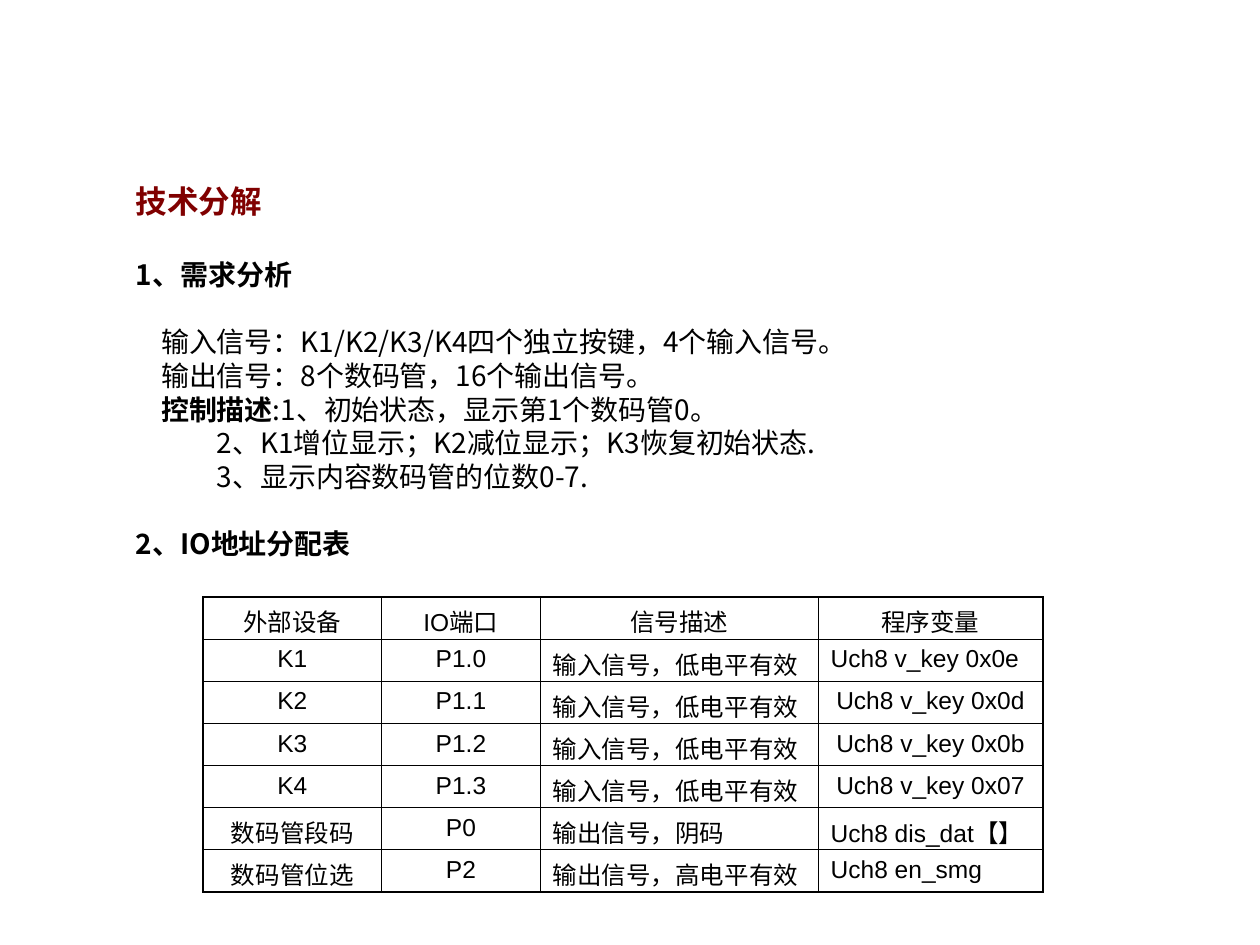
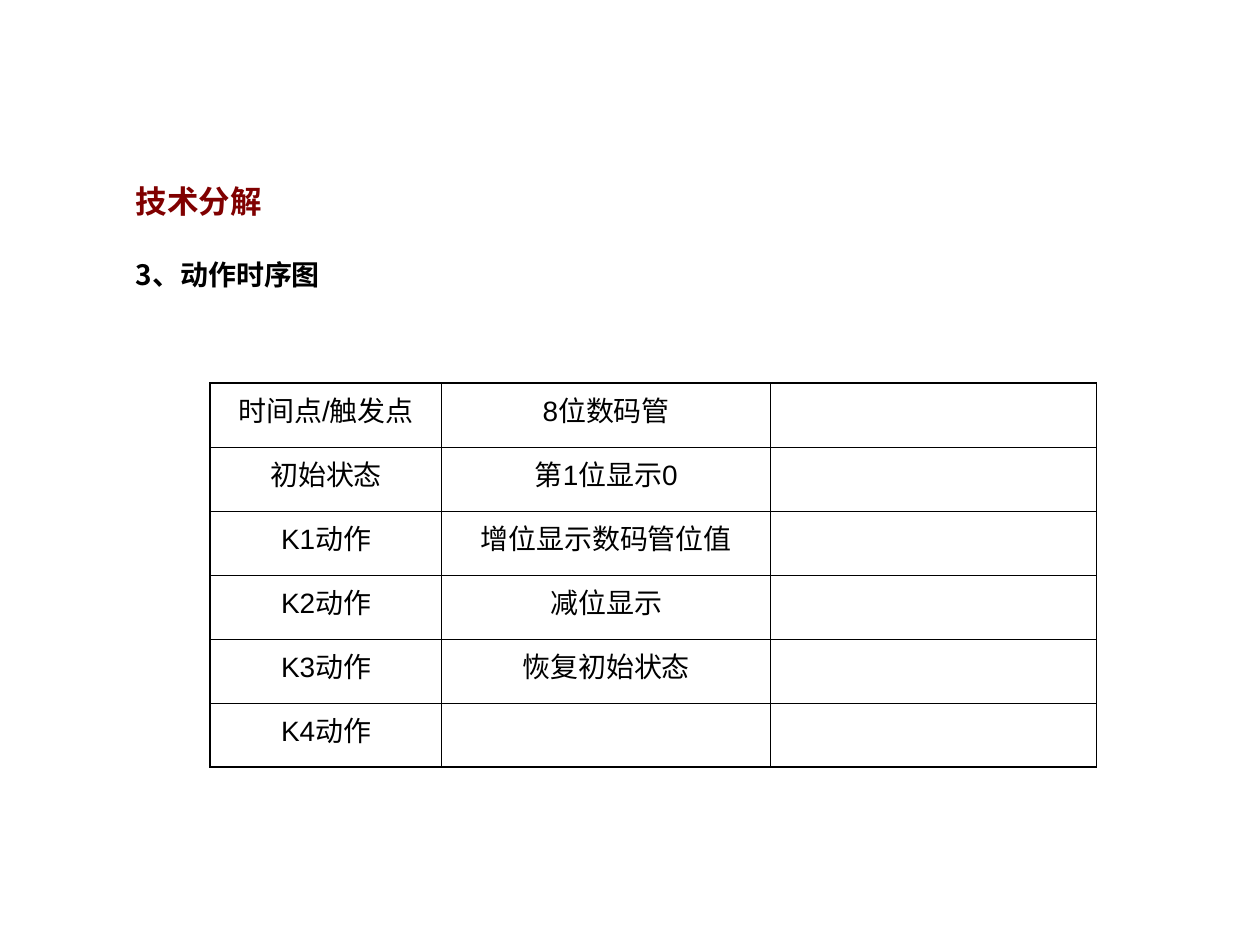
from lxml.etree import SubElement
from pptx import Presentation
from pptx.dml.color import RGBColor
from pptx.enum.text import PP_ALIGN
from pptx.oxml.ns import qn
from pptx.util import Pt

BLACK = RGBColor(0, 0, 0)
MAROON = RGBColor(0x80, 0, 0)
CJK_FONT = "Noto Sans CJK SC"
LATIN_FONT = "Arial"
TITLE_SIZE, BODY_SIZE, SMALL_SIZE = 18, 16, 14
LINE_FACTOR = 1.2
THIN, THICK = 0.45, 1.08
LEFT, CENTER = PP_ALIGN.LEFT, PP_ALIGN.CENTER

TITLE = {"size": TITLE_SIZE, "color": MAROON, "bold": True}
HEADING = {"size": BODY_SIZE, "color": BLACK, "bold": True}
BODY = {"size": BODY_SIZE, "color": BLACK, "bold": False}
FIRST_INDENT, SECOND_INDENT = 14.4, 46.3
TITLE_GAP = TITLE_SIZE * LINE_FACTOR
BODY_GAP = BODY_SIZE * LINE_FACTOR

TITLE_LINE = ([("技术分解", TITLE)], 0, 0)
ANALYSIS = [
    TITLE_LINE,
    ([("1、需求分析", HEADING)], 0, TITLE_GAP),
    ([("输入信号：K1/K2/K3/K4四个独立按键，4个输入信号。", BODY)], FIRST_INDENT, BODY_GAP),
    ([("输出信号：8个数码管，16个输出信号。", BODY)], FIRST_INDENT, 0),
    ([("控制描述", HEADING), (":1、初始状态，显示第1个数码管0。", BODY)], FIRST_INDENT, 0),
    ([("2、K1增位显示；K2减位显示；K3恢复初始状态.", BODY)], SECOND_INDENT, 0),
    ([("3、显示内容数码管的位数0-7.", BODY)], SECOND_INDENT, 0),
    ([("2、IO地址分配表", HEADING)], 0, BODY_GAP),
]
TIMING = [TITLE_LINE, ([("3、动作时序图", HEADING)], 0, TITLE_GAP)]

KEY_SIGNAL = "输入信号，低电平有效"
ADDRESS_ROWS = [
    ("外部设备", "IO端口", "信号描述", "程序变量"),
    ("K1", "P1.0", KEY_SIGNAL, "Uch8 v_key 0x0e"),
    ("K2", "P1.1", KEY_SIGNAL, "Uch8 v_key 0x0d"),
    ("K3", "P1.2", KEY_SIGNAL, "Uch8 v_key 0x0b"),
    ("K4", "P1.3", KEY_SIGNAL, "Uch8 v_key 0x07"),
    ("数码管段码", "P0", "输出信号，阴码", "Uch8 dis_dat【】"),
    ("数码管位选", "P2", "输出信号，高电平有效", "Uch8 en_smg"),
]
ACTION_ROWS = [
    ("时间点/触发点", "8位数码管", ""),
    ("初始状态", "第1位显示0", ""),
    ("K1动作", "增位显示数码管位值", ""),
    ("K2动作", "减位显示", ""),
    ("K3动作", "恢复初始状态", ""),
    ("K4动作", "", ""),
]


def add_span(para, text, name, size, color, bold=False):
    span = para.add_run()
    span.text = text
    for key, value in {"name": name, "size": Pt(size), "bold": bold}.items():
        setattr(span.font, key, value)
    span.font.color.rgb = color
    SubElement(span.font._element, qn("a:ea"), typeface=CJK_FONT)


def add_outline(page, box, lines):
    frame = page.shapes.add_textbox(*map(Pt, box)).text_frame
    frame.word_wrap = True
    for index, (spans, indent, gap) in enumerate(lines):
        para = frame.paragraphs[0] if index == 0 else frame.add_paragraph()
        para._p.get_or_add_pPr().set("marL", str(Pt(indent)))
        para.line_spacing = Pt(spans[0][1]["size"] * LINE_FACTOR)
        if gap:
            para.space_before = Pt(gap)
        for text, style in spans:
            add_span(para, text, CJK_FONT, **style)


def add_borders(cell, widths):
    properties = cell._tc.get_or_add_tcPr()
    for side, width in widths.items():
        line = SubElement(properties, qn(f"a:ln{side}"), w=str(Pt(width)))
        fill = SubElement(line, qn("a:solidFill"))
        SubElement(fill, qn("a:srgbClr"), val=str(BLACK))


def add_grid(page, box, rows, widths, size, alignment, bottom_margin):
    left, top, height = box
    last_row, last_column = len(rows) - 1, len(widths) - 1
    frame = page.shapes.add_table(
        len(rows), len(widths), Pt(left), Pt(top), Pt(sum(widths)), Pt(height))
    table = frame.table
    table.first_row = table.horz_banding = False
    for column, width in zip(table.columns, widths):
        column.width = Pt(width)
    for r, texts in enumerate(rows):
        table.rows[r].height = Pt(height / len(rows))
        for c, text in enumerate(texts):
            cell = table.cell(r, c)
            cell.margin_bottom = Pt(bottom_margin)
            add_borders(cell, {
                "L": THICK if c == 0 else THIN,
                "R": THICK if c == last_column else THIN,
                "T": THICK if r == 0 else THIN,
                "B": THICK if r == last_row else THIN,
            })
            cell.fill.background()
            para = cell.text_frame.paragraphs[0]
            para.alignment = alignment(r, c)
            if text:
                add_span(para, text, LATIN_FONT, size, BLACK)


def address_alignment(row, column):
    if row == 0 or column < 2 or (column == 3 and 2 <= row <= 4):
        return CENTER
    return LEFT


def action_alignment(row, column):
    return CENTER


def build_analysis(page):
    add_outline(page, (70.6, 100.6, 550, 242.6), ANALYSIS)
    add_grid(page, (116, 341.2, 168.6), ADDRESS_ROWS, (102.2, 90.5, 158.8, 128.5),
             SMALL_SIZE, address_alignment, 0)


def build_timing(page):
    add_outline(page, (70.6, 100.6, 550, 89.3), TIMING)
    add_grid(page, (120.2, 218.9, 219.6), ACTION_ROWS, (132.3, 187.9, 186.2),
             BODY_SIZE, action_alignment, 3.6)


def main():
    deck = Presentation()
    deck.slide_width, deck.slide_height = Pt(720), Pt(540)
    for build in (build_analysis, build_timing):
        build(deck.slides.add_slide(deck.slide_layouts[6]))
    deck.save("out.pptx")


if __name__ == "__main__":
    main()
